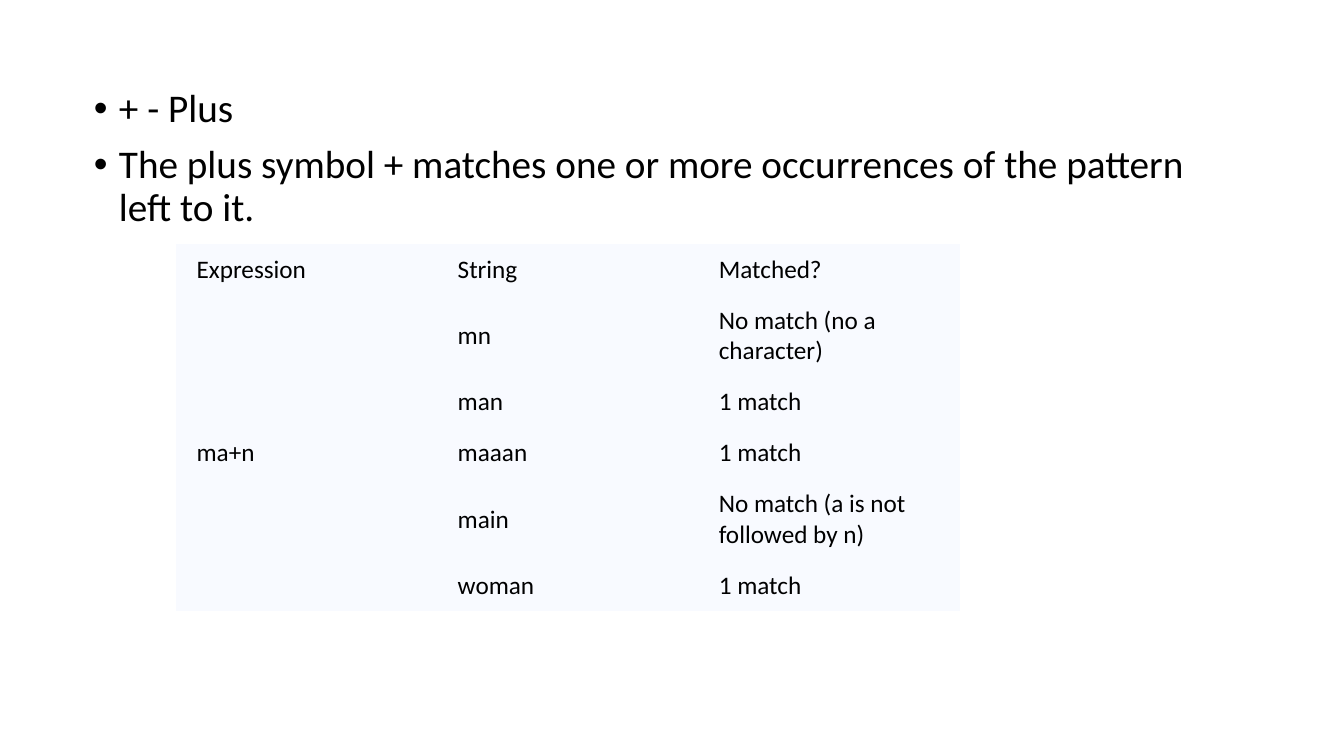
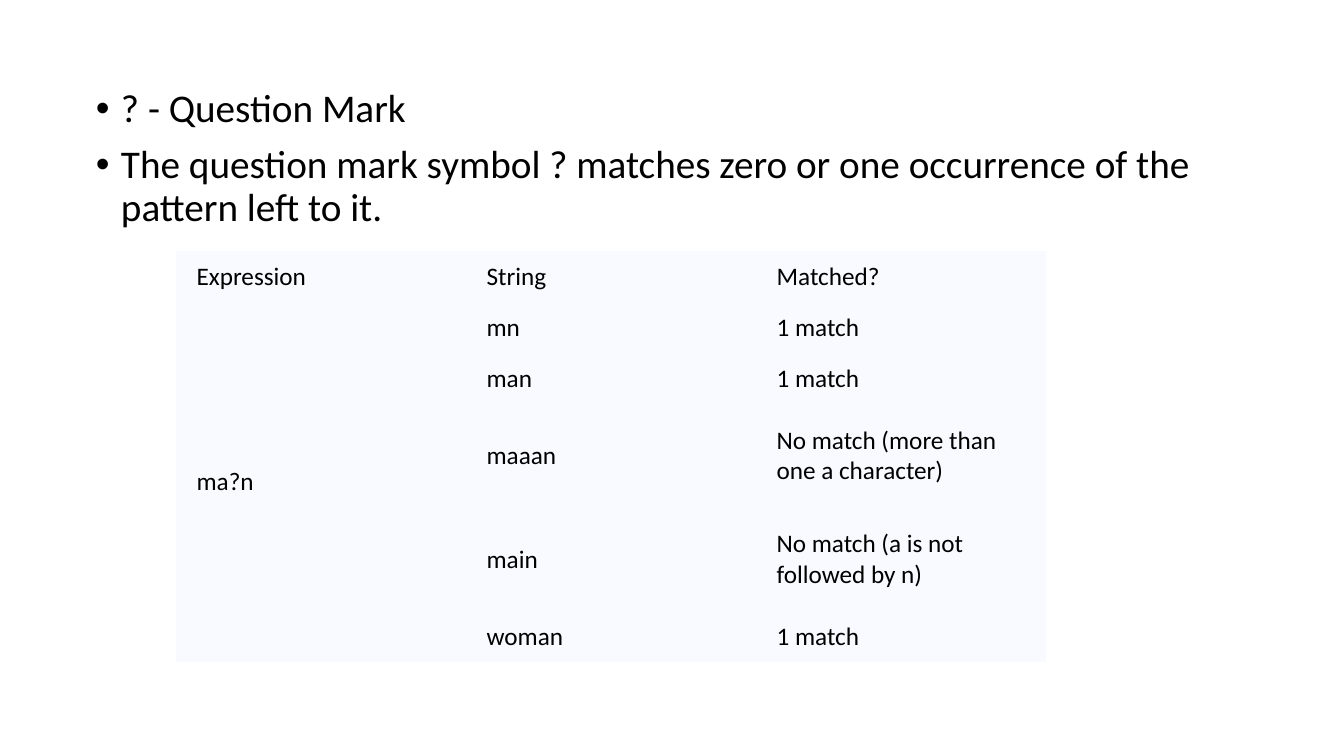
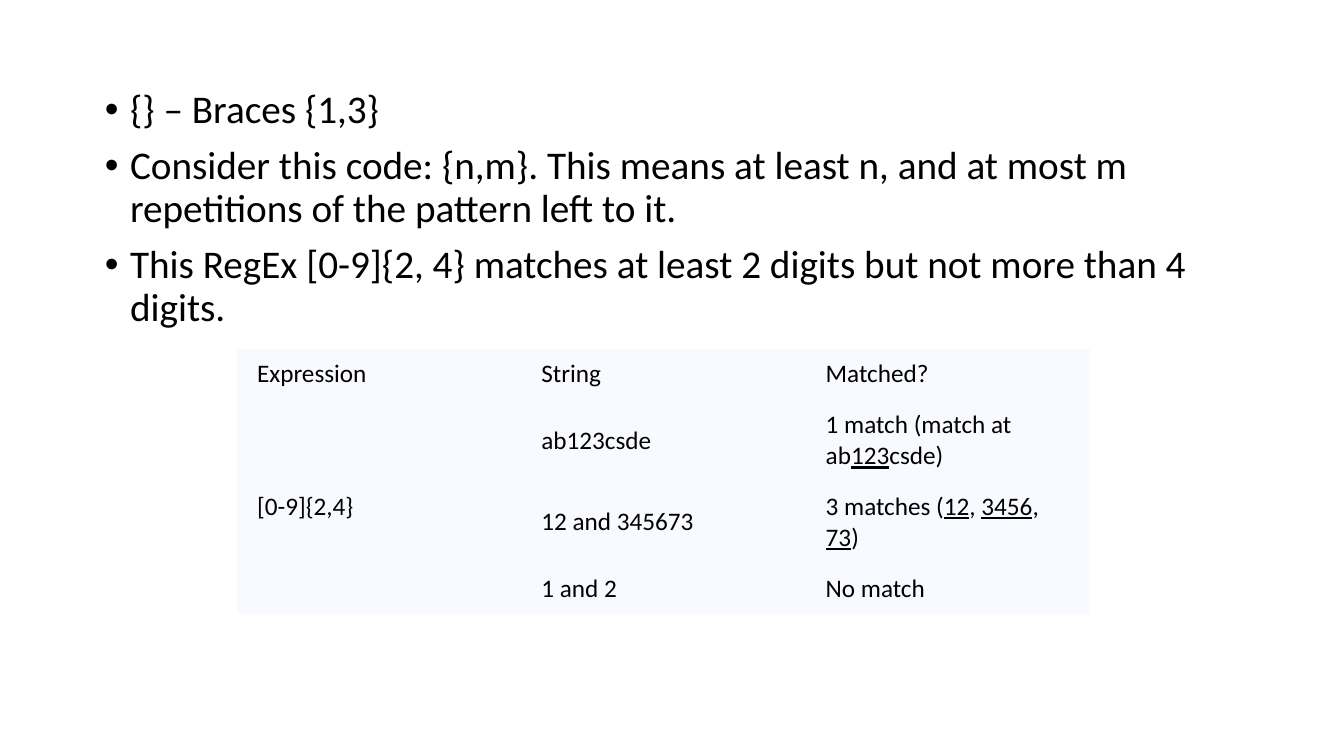
import pptx
import pptx.util
import pptx.dml.color
import pptx.enum.text
import pptx.oxml.ns
from lxml import etree

Inches = pptx.util.Inches
Pt = pptx.util.Pt

BLACK = pptx.dml.color.RGBColor(0x00, 0x00, 0x00)
CELL_TINT = pptx.dml.color.RGBColor(0xF8, 0xFA, 0xFF)
FONT = "Calibri"
BODY_SIZE = 28
CELL_SIZE = 18
PLAIN_TABLE_STYLE = "{2D5ABB26-0587-4C30-8999-92F81FD0307C}"
HEADINGS = ("Expression", "String", "Matched?")

TOPICS = [
    {
        "points": [
            "+ - Plus",
            "The plus symbol + matches one or more occurrences of the pattern left to it.",
        ],
        "points_box": (0.83, 0.83, 11.58, 5.93),
        "expression": "ma+n",
        "examples": [
            ("mn", "No match (no a character)"),
            ("man", "1 match"),
            ("maaan", "1 match"),
            ("main", "No match (a is not followed by n)"),
            ("woman", "1 match"),
        ],
        "table_box": (1.75, 2.42, 7.77),
        "row_heights": (0.35, 0.56, 0.35, 0.35, 0.77, 0.35),
    },
    {
        "points": [
            "? - Question Mark",
            "The question mark symbol ? matches zero or one occurrence of the pattern left to it.",
        ],
        "points_box": (0.85, 0.83, 11.56, 5.93),
        "expression": "ma?n",
        "examples": [
            ("mn", "1 match"),
            ("man", "1 match"),
            ("maaan", "No match (more than one a character)"),
            ("main", "No match (a is not followed by n)"),
            ("woman", "1 match"),
        ],
        "table_box": (1.75, 2.49, 8.63),
        "row_heights": (0.47, 0.47, 0.47, 1.03, 1.03, 0.47),
    },
    {
        "points": [
            "{} – Braces {1,3}",
            "Consider this code: {n,m}. This means at least n, and at most m repetitions of the pattern left to it.",
            "This RegEx [0-9]{2, 4} matches at least 2 digits but not more than 4 digits.",
        ],
        "points_box": (0.94, 0.84, 11.47, 5.91),
        "expression": "[0-9]{2,4}",
        "examples": [
            ("ab123csde", "1 match (match at ab_123_csde)"),
            ("12 and 345673", "3 matches (_12_, _3456_, _73_)"),
            ("1 and 2", "No match"),
        ],
        "table_box": (2.35, 3.46, 8.46),
        "row_heights": (0.48, 0.77, 0.77, 0.48),
    },
]


def format_run(run, size):
    run.font.name = FONT
    run.font.size = Pt(size)
    run.font.color.rgb = BLACK


def add_bullet(paragraph):
    properties = paragraph._p.get_or_add_pPr()
    properties.set("marL", str(Inches(0.25)))
    properties.set("indent", str(-Inches(0.25)))
    for tag, attribute, value in (("a:buFont", "typeface", "Arial"), ("a:buChar", "char", "•")):
        etree.SubElement(properties, pptx.oxml.ns.qn(tag)).set(attribute, value)


def fill_points(body, points, box):
    body.left, body.top, body.width, body.height = map(Inches, box)
    frame = body.text_frame
    frame.word_wrap = True
    frame.auto_size = pptx.enum.text.MSO_AUTO_SIZE.NONE
    frame.vertical_anchor = pptx.enum.text.MSO_ANCHOR.TOP
    frame.text = "\n".join(points)
    for index, paragraph in enumerate(frame.paragraphs):
        add_bullet(paragraph)
        paragraph.line_spacing = 0.9
        paragraph.space_before = Pt(10 if index else 0)
        for run in paragraph.runs:
            format_run(run, BODY_SIZE)


def fill_cell(cell, marked_text):
    cell.fill.solid()
    cell.fill.fore_color.rgb = CELL_TINT
    cell.vertical_anchor = pptx.enum.text.MSO_ANCHOR.MIDDLE
    cell.margin_left = cell.margin_right = Inches(0.2)
    cell.margin_top = cell.margin_bottom = Inches(0.1)
    paragraph = cell.text_frame.paragraphs[0]
    for index, part in enumerate(marked_text.split("_")):
        if part:
            run = paragraph.add_run()
            run.text = part
            format_run(run, CELL_SIZE)
            if index % 2:
                run.font.underline = True


def add_match_table(slide, expression, examples, box, row_heights):
    left, top, width = box
    rows = [HEADINGS] + [
        ("" if index else expression, string, result)
        for index, (string, result) in enumerate(examples)
    ]
    frame = slide.shapes.add_table(
        len(rows), len(HEADINGS),
        Inches(left), Inches(top), Inches(width), Inches(sum(row_heights)),
    )
    matches = frame.table
    matches.first_row = False
    matches.horz_banding = False
    matches._tbl.tblPr.find(pptx.oxml.ns.qn("a:tableStyleId")).text = PLAIN_TABLE_STYLE
    for column in matches.columns:
        column.width = Inches(width / len(HEADINGS))
    for row, height in zip(matches.rows, row_heights):
        row.height = Inches(height)
    for row, texts in zip(matches.rows, rows):
        for cell, text in zip(row.cells, texts):
            fill_cell(cell, text)
    matches.cell(1, 0).merge(matches.cell(len(examples), 0))


def add_topic_slide(deck, topic):
    slide = deck.slides.add_slide(deck.slide_layouts[1])
    title = slide.shapes.title._element
    title.getparent().remove(title)
    fill_points(slide.placeholders[1], topic["points"], topic["points_box"])
    add_match_table(
        slide, topic["expression"], topic["examples"],
        topic["table_box"], topic["row_heights"],
    )


def main():
    deck = pptx.Presentation()
    deck.slide_width = Inches(13.33)
    deck.slide_height = Inches(7.5)
    for topic in TOPICS:
        add_topic_slide(deck, topic)
    deck.save("out.pptx")


if __name__ == "__main__":
    main()
